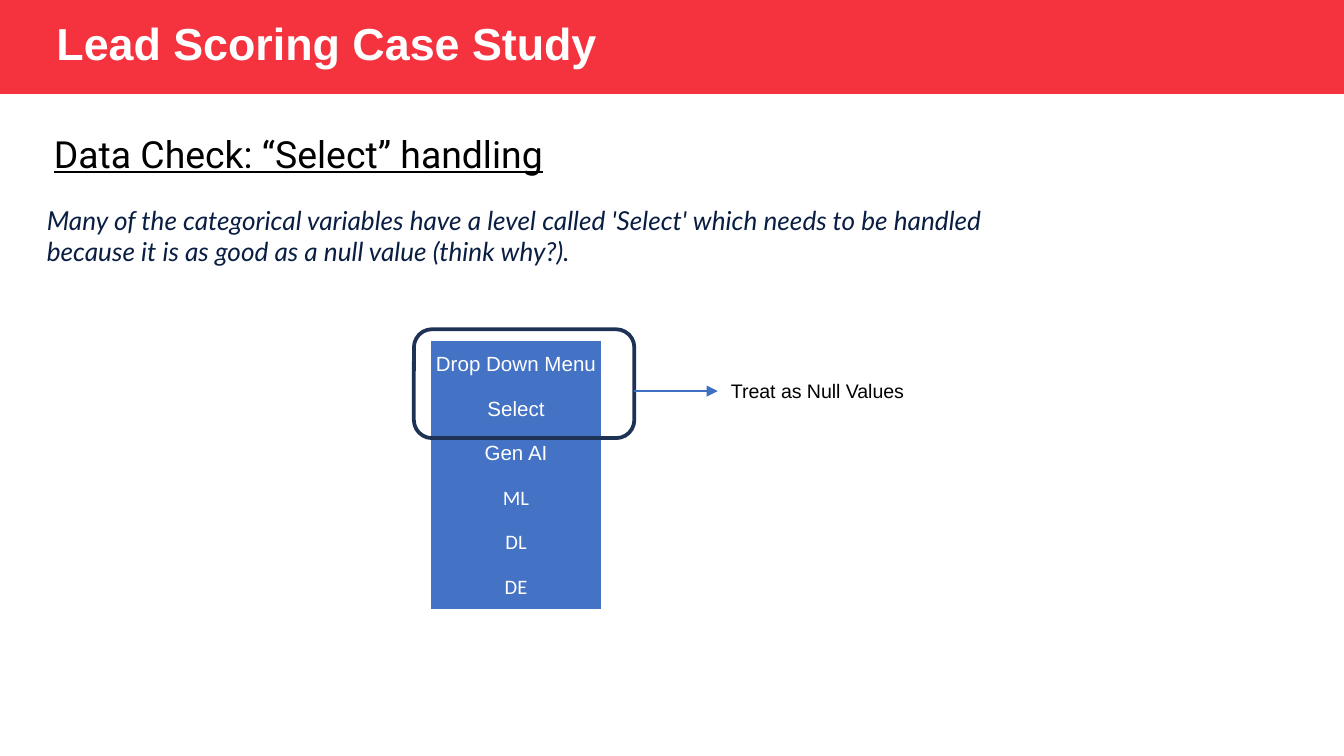
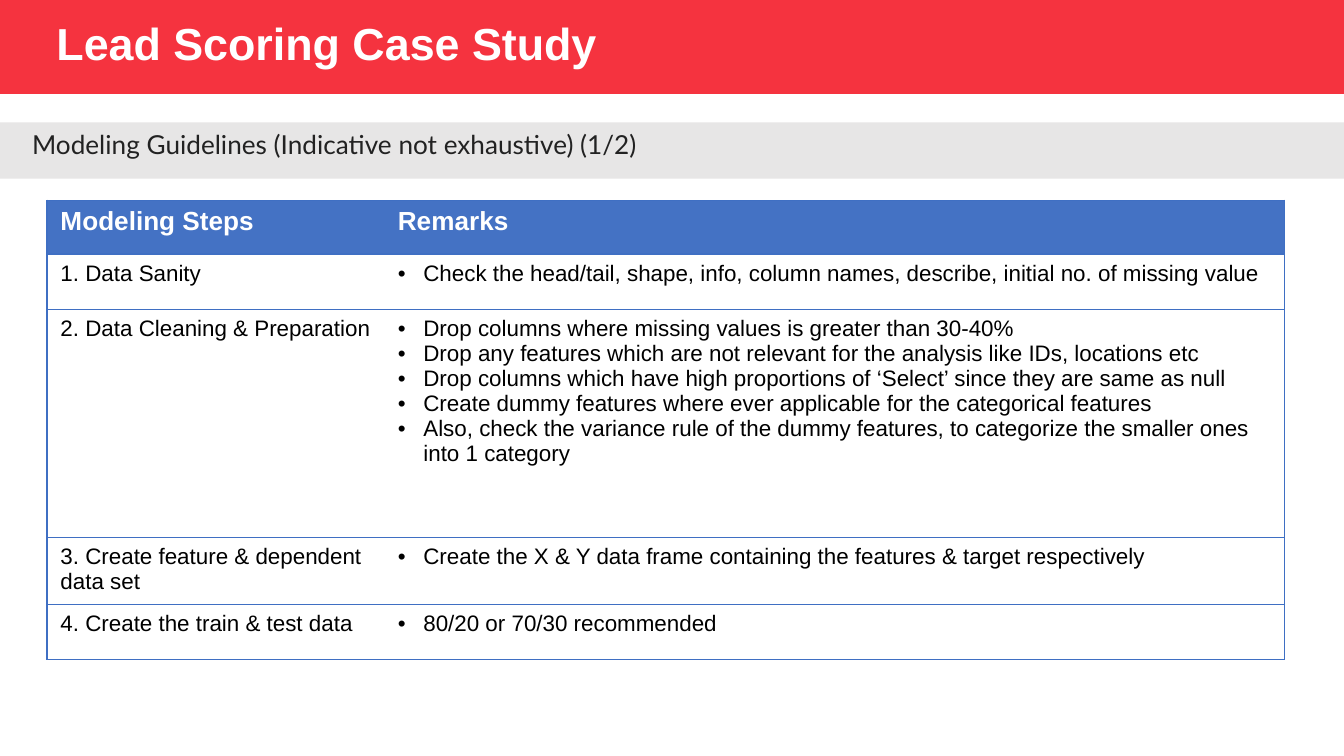
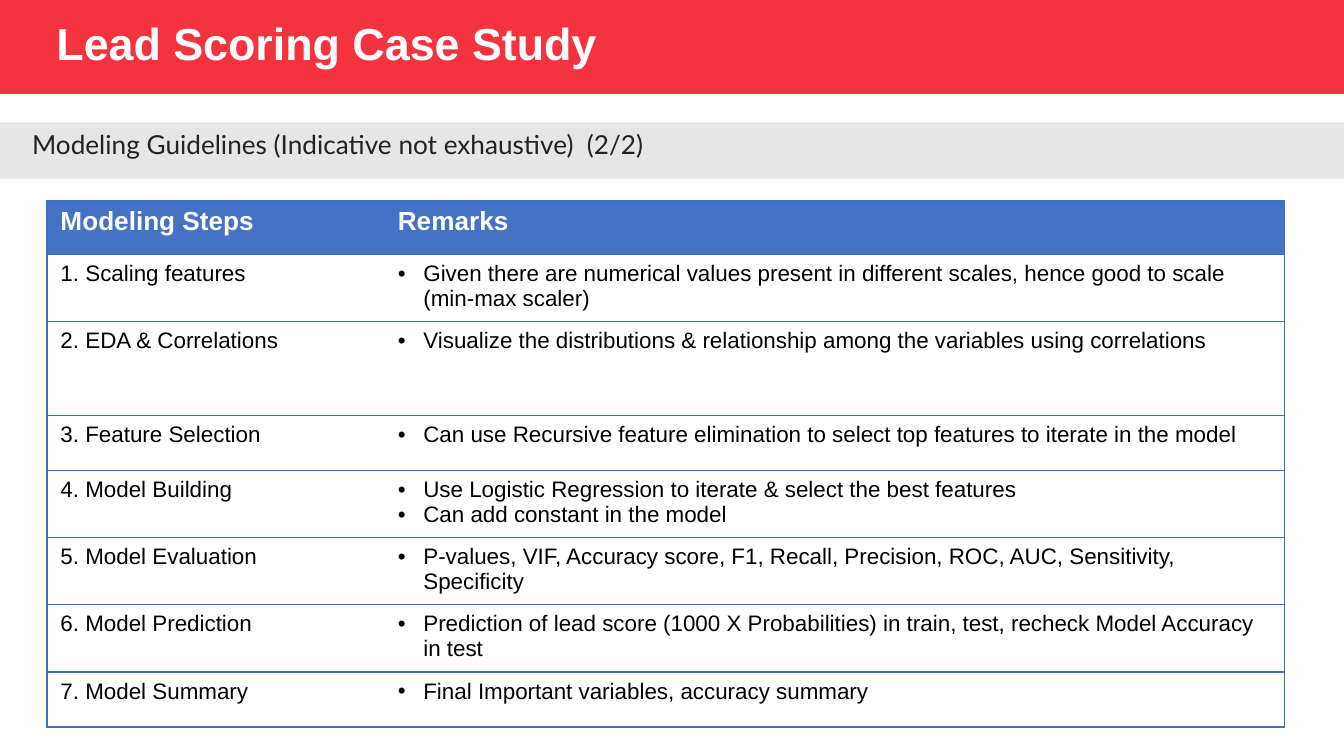
from dataclasses import dataclass
from typing import Optional

from lxml.etree import SubElement
from pptx import Presentation
from pptx.dml.color import RGBColor
from pptx.enum.shapes import MSO_CONNECTOR, MSO_SHAPE
from pptx.enum.text import MSO_ANCHOR, MSO_AUTO_SIZE, PP_ALIGN
from pptx.oxml.ns import qn
from pptx.shapes.autoshape import Shape
from pptx.slide import Slide
from pptx.table import Table, _Cell
from pptx.text.text import _Paragraph
from pptx.util import Inches, Pt

# Grid: 100 square columns across a 16:9 slide, so 56.25 rows
SLIDE_WIDTH = Inches(10)
SLIDE_HEIGHT = SLIDE_WIDTH * 9 // 16
UNIT = SLIDE_WIDTH // 100

COLORS = {
    "band": "F5333F",
    "heading_band": "E7E6E6",
    "heading": "222222",
    "white": "FFFFFF",
    "black": "000000",
    "quote": "091E42",
    "table": "4472C4",
    "rule": "3F6FC3",
    "highlight": "1E3256",
}
RULE_WIDTH = Pt(0.75)


@dataclass(frozen=True)
class Box:
    left: float
    top: float
    width: float
    height: float

    def lengths(self) -> tuple[int, int, int, int]:
        return grid(self.left), grid(self.top), grid(self.width), grid(self.height)


@dataclass(frozen=True)
class TextStyle:
    font: str
    size: float
    color: str
    bold: bool = False
    italic: bool = False
    underline: bool = False
    line_spacing: Optional[float] = None
    space_before: float = 0


@dataclass(frozen=True)
class Step:
    name: str
    remarks: tuple[str, ...]
    height: float


@dataclass(frozen=True)
class Guidelines:
    heading: str
    steps: tuple[Step, ...]


# Shared styles and places
TITLE = TextStyle("Arial", 24, "white", bold=True, line_spacing=0.9)
SUBTITLE = TextStyle("Roboto", 20, "black", underline=True, line_spacing=0.9, space_before=8)
QUOTE = TextStyle("Lato", 14, "quote", italic=True)
NOTE = TextStyle("Arial", 10.5, "black")
HEADING = TextStyle("Lato", 14, "heading")
TABLE_HEADER = TextStyle("Arial", 14, "white", bold=True)
TABLE_BODY = TextStyle("Arial", 12, "black")
TIGHT_MARGINS = (0.7, 0.4)
TEXT_MARGINS = (1, 0.5)
HEADER_HEIGHT = 4
STEP_COLUMNS = (25.1, 67)

MENU_ITEMS = (
    ("Drop Down Menu", "Arial"),
    ("Select", "Arial"),
    ("Gen AI", "Arial"),
    ("ML", "Calibri"),
    ("DL", "Calibri"),
    ("DE", "Calibri"),
)

GUIDELINES = (
    Guidelines("Modeling Guidelines (Indicative not exhaustive) (1/2)", (
        Step("1. Data Sanity", (
            "Check the head/tail, shape, info, column names, describe, initial no. of missing value",
        ), 4.1),
        Step("2. Data Cleaning & Preparation", (
            "Drop columns where missing values is greater than 30-40%",
            "Drop any features which are not relevant for the analysis like IDs, locations etc",
            "Drop columns which have high proportions of ‘Select’ since they are same as null",
            "Create dummy features where ever applicable for the categorical features",
            "Also, check the variance rule of the dummy features, to categorize the smaller ones "
            "into 1 category",
        ), 17),
        Step("3. Create feature & dependent data set", (
            "Create the X & Y data frame containing the features & target respectively",
        ), 5),
        Step("4. Create the train & test data", ("80/20 or 70/30 recommended",), 4.1),
    )),
    Guidelines("Modeling Guidelines (Indicative not exhaustive)  (2/2)", (
        Step("1. Scaling features", (
            "Given there are numerical values present in different scales, hence good to scale "
            "(min-max scaler)",
        ), 5),
        Step("2. EDA & Correlations", (
            "Visualize the distributions & relationship among the variables using correlations",
        ), 7),
        Step("3. Feature Selection", (
            "Can use Recursive feature elimination to select top features to iterate in the model",
        ), 4.1),
        Step("4. Model Building", (
            "Use Logistic Regression to iterate & select the best features",
            "Can add constant in the model",
        ), 5),
        Step("5. Model Evaluation", (
            "P-values, VIF, Accuracy score, F1, Recall, Precision, ROC, AUC, Sensitivity, Specificity",
        ), 5),
        Step("6. Model Prediction", (
            "Prediction of lead score (1000 X Probabilities) in train, test, recheck Model Accuracy "
            "in test",
        ), 5),
        Step("7. Model Summary", ("Final Important variables, accuracy summary",), 4.1),
    )),
)


def grid(units: float) -> int:
    return round(units * UNIT)


def color(name: str) -> RGBColor:
    return RGBColor.from_string(COLORS[name])


# Text
def write(paragraph: _Paragraph, text: str, style: TextStyle) -> None:
    paragraph.text = text
    if style.line_spacing:
        paragraph.line_spacing = style.line_spacing
    if style.space_before:
        paragraph.space_before = Pt(style.space_before)
    font = paragraph.font
    font.name = style.font
    font.size = Pt(style.size)
    font.color.rgb = color(style.color)
    font.bold = style.bold
    font.italic = style.italic
    font.underline = style.underline


def add_bullet(paragraph: _Paragraph) -> None:
    properties = paragraph._p.get_or_add_pPr()
    properties.set("marL", str(grid(1.9)))
    properties.set("indent", str(-grid(1.9)))
    bullet_color = SubElement(properties, qn("a:buClr"))
    SubElement(bullet_color, qn("a:srgbClr"), val=COLORS["black"])
    SubElement(properties, qn("a:buFont"), typeface="Arial")
    SubElement(properties, qn("a:buChar"), char="•")


def add_text(slide: Slide, box: Box, text: str, style: TextStyle,
             margins: tuple[float, float] = TEXT_MARGINS,
             anchor: MSO_ANCHOR = MSO_ANCHOR.TOP) -> None:
    frame = slide.shapes.add_textbox(*box.lengths()).text_frame
    frame.word_wrap = True
    frame.auto_size = MSO_AUTO_SIZE.NONE
    frame.vertical_anchor = anchor
    frame.margin_left = frame.margin_right = grid(margins[0])
    frame.margin_top = frame.margin_bottom = grid(margins[1])
    write(frame.paragraphs[0], text, style)


# Shapes
def add_band(slide: Slide, box: Box, fill: str) -> None:
    band = slide.shapes.add_shape(MSO_SHAPE.RECTANGLE, *box.lengths())
    band.shadow.inherit = False
    band.fill.solid()
    band.fill.fore_color.rgb = color(fill)
    band.line.fill.background()


def add_highlight(slide: Slide, box: Box) -> Shape:
    highlight = slide.shapes.add_shape(MSO_SHAPE.ROUNDED_RECTANGLE, *box.lengths())
    highlight.shadow.inherit = False
    highlight.fill.background()
    highlight.line.color.rgb = color("highlight")
    highlight.line.width = Pt(2)
    return highlight


def add_arrow(slide: Slide, left: float, right: float, top: float) -> None:
    arrow = slide.shapes.add_connector(
        MSO_CONNECTOR.STRAIGHT, grid(left), grid(top), grid(right), grid(top))
    arrow.line.color.rgb = color("rule")
    arrow.line.width = RULE_WIDTH
    SubElement(arrow.line._get_or_add_ln(), qn("a:tailEnd"), type="triangle")
    SubElement(arrow._element.spPr, qn("a:effectLst"))


# Tables
def add_plain_table(slide: Slide, box: Box, rows: int, columns: int) -> Table:
    table = slide.shapes.add_table(rows, columns, *box.lengths()).table
    table.first_row = table.horz_banding = False
    return table


def set_cell(cell: _Cell, ruled_sides: str, fill: Optional[str]) -> None:
    properties = cell._tc.get_or_add_tcPr()
    for side in "LRTB":
        border = SubElement(properties, qn(f"a:ln{side}"), w=str(RULE_WIDTH))
        if side in ruled_sides:
            line_fill = SubElement(border, qn("a:solidFill"))
            SubElement(line_fill, qn("a:srgbClr"), val=COLORS["rule"])
        else:
            SubElement(border, qn("a:noFill"))
    if fill:
        cell.fill.solid()
        cell.fill.fore_color.rgb = color(fill)
    else:
        cell.fill.background()


def add_menu(slide: Slide, box: Box) -> None:
    table = add_plain_table(slide, box, len(MENU_ITEMS), 1)
    for row, (label, font) in enumerate(MENU_ITEMS):
        cell = table.cell(row, 0)
        set_cell(cell, "", "table")
        cell.vertical_anchor = MSO_ANCHOR.MIDDLE
        cell.margin_left = cell.margin_right = cell.margin_top = grid(0.1)
        cell.margin_bottom = 0
        paragraph = cell.text_frame.paragraphs[0]
        paragraph.alignment = PP_ALIGN.CENTER
        write(paragraph, label, TextStyle(font, 11, "white"))


def add_steps(slide: Slide, steps: tuple[Step, ...]) -> None:
    heights = [HEADER_HEIGHT, *(step.height for step in steps)]
    box = Box(3.5, 14.9, sum(STEP_COLUMNS), sum(heights))
    table = add_plain_table(slide, box, len(heights), len(STEP_COLUMNS))
    for column, width in zip(table.columns, STEP_COLUMNS):
        column.width = grid(width)
    for row, height in zip(table.rows, heights):
        row.height = grid(height)

    # Header row
    for column, label in enumerate(("Modeling Steps", "Remarks")):
        cell = table.cell(0, column)
        set_cell(cell, "LR"[column] + "TB", "table")
        write(cell.text_frame.paragraphs[0], label, TABLE_HEADER)

    # One row for each step
    for row, step in enumerate(steps, start=1):
        name_cell, remarks_cell = table.cell(row, 0), table.cell(row, 1)
        set_cell(name_cell, "LTB", None)
        set_cell(remarks_cell, "RTB", None)
        write(name_cell.text_frame.paragraphs[0], step.name, TABLE_BODY)
        frame = remarks_cell.text_frame
        for index, remark in enumerate(step.remarks):
            paragraph = frame.add_paragraph() if index else frame.paragraphs[0]
            add_bullet(paragraph)
            write(paragraph, remark, TABLE_BODY)


# Slides
def add_titled_slide(presentation: Presentation) -> Slide:
    slide = presentation.slides.add_slide(presentation.slide_layouts[6])
    add_band(slide, Box(0, 0, 100, 7), "band")
    add_text(slide, Box(3.5, 1.3, 65.1, 4.2), "Lead Scoring Case Study", TITLE,
             TIGHT_MARGINS, MSO_ANCHOR.MIDDLE)
    return slide


def build_select_slide(presentation: Presentation) -> None:
    slide = add_titled_slide(presentation)
    add_text(slide, Box(3.3, 9.7, 84.1, 35.5), "Data Check: “Select” handling",
             SUBTITLE, TIGHT_MARGINS)
    add_text(slide, Box(2.5, 14.7, 75.8, 5.7),
             "Many of the categorical variables have a level called 'Select' which needs "
             "to be handled because it is as good as a null value (think why?).", QUOTE)
    add_menu(slide, Box(32.1, 25.4, 12.6, 19.9))
    add_highlight(slide, Box(30.8, 24.5, 16.4, 8.1))
    add_arrow(slide, 47.2, 53.4, 29.1)
    add_text(slide, Box(53.4, 27.7, 23.1, 2.9), "Treat as Null Values", NOTE)


def build_guidelines_slide(presentation: Presentation, guidelines: Guidelines) -> None:
    slide = add_titled_slide(presentation)
    add_band(slide, Box(0, 9.1, 100, 4.2), "heading_band")
    add_text(slide, Box(1.4, 9.1, 92, 3.4), guidelines.heading, HEADING)
    add_steps(slide, guidelines.steps)


def main() -> None:
    presentation = Presentation()
    presentation.slide_width = SLIDE_WIDTH
    presentation.slide_height = SLIDE_HEIGHT
    build_select_slide(presentation)
    for guidelines in GUIDELINES:
        build_guidelines_slide(presentation, guidelines)
    presentation.save("out.pptx")


if __name__ == "__main__":
    main()
